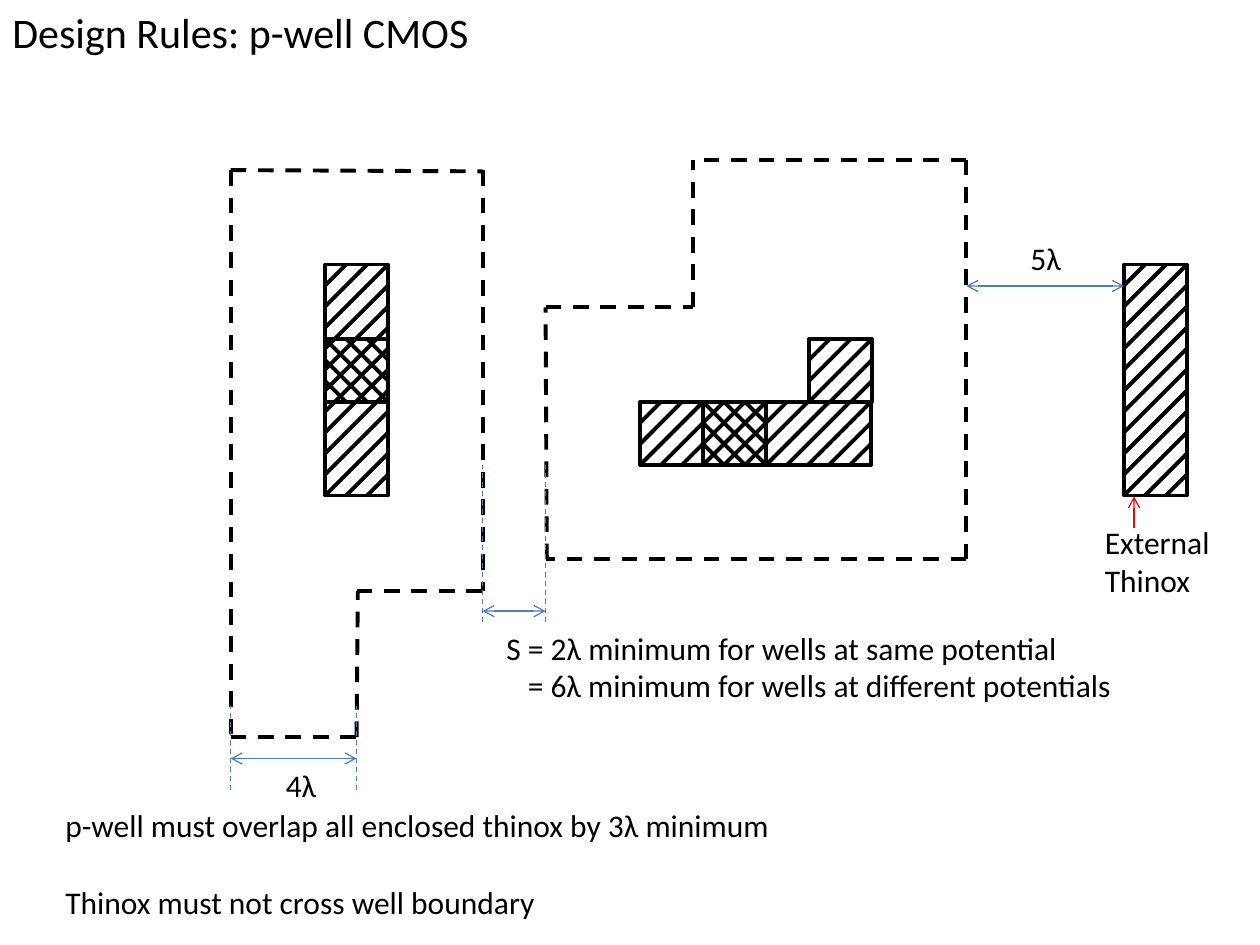
from lxml.etree import SubElement
from pptx import Presentation
from pptx.dml.color import RGBColor
from pptx.enum.dml import MSO_LINE
from pptx.enum.shapes import MSO_CONNECTOR as Link, MSO_SHAPE as Shape
from pptx.oxml.ns import qn
from pptx.util import Inches, Pt

BLACK = RGBColor(0, 0, 0)
BLUE = RGBColor(0x4B, 0x7E, 0xBC)
RED = RGBColor(0xFF, 0, 0)
FONT = "Calibri"
STEP = 1 / 6


def write(para, text, size=18, color=BLACK, before=0, indent=0):
    if indent:
        para._p.get_or_add_pPr().set("marL", str(Inches(indent)))
    para.space_before = Pt(before)
    span = para.add_run()
    span.text = text
    span.font.name = FONT
    span.font.size = Pt(size)
    span.font.color.rgb = color


class Diagram:
    def __init__(self, page):
        self.page = page

    def text(self, left, top, width, height, *lines):
        box = self.page.shapes.add_textbox(
            Inches(left), Inches(top), Inches(width), Inches(height))
        frame = box.text_frame
        frame.word_wrap = True
        for index, (words, style) in enumerate(lines):
            para = frame.add_paragraph() if index else frame.paragraphs[0]
            write(para, words, **style)

    def line(self, x1, y1, x2, y2, color=BLACK, width=2.25, dashed=False, ends=(), parent=None):
        shapes = (parent or self.page).shapes
        link = shapes.add_connector(
            Link.STRAIGHT, Inches(x1), Inches(y1), Inches(x2), Inches(y2))
        link.line.color.rgb = color
        link.line.width = Pt(width)
        if dashed:
            link.line.dash_style = MSO_LINE.DASH
        for end in ends:
            SubElement(link.line._get_or_add_ln(), qn(f"a:{end}End")).set("type", "arrow")
        SubElement(link._element.spPr, qn("a:effectLst"))

    def guide(self, x, top, bottom):
        self.line(x, bottom, x, top, color=BLUE, width=0.75, dashed=True)

    def dimension(self, left, right, y):
        self.line(left, y, right, y, color=BLUE, width=0.75, ends=("head", "tail"))

    def well(self, *segments):
        group = self.page.shapes.add_group_shape()
        for segment in segments:
            self.line(*segment, dashed=True, parent=group)

    def hatch(self, left, top, columns, rows, falling=False):
        group = self.page.shapes.add_group_shape()
        width, height = columns * STEP, rows * STEP
        area = group.shapes.add_shape(
            Shape.RECTANGLE, Inches(left), Inches(top), Inches(width), Inches(height))
        area.shadow.inherit = False
        area.fill.background()
        area.line.color.rgb = BLACK
        area.line.width = Pt(2)
        for index in range(1, columns + rows):
            low, high = max(0, index - rows), min(columns, index)
            xs = [left + column * STEP for column in (low, high)]
            ys = [top + (index - column) * STEP for column in (low, high)]
            if falling:
                xs = [2 * left + width - x for x in xs]
            self.line(xs[0], ys[0], xs[1], ys[1], parent=group)


def main():
    deck = Presentation()
    deck.slide_width, deck.slide_height = Inches(10), Inches(7.5)
    diagram = Diagram(deck.slides.add_slide(deck.slide_layouts[6]))

    diagram.hatch(2.58, 2.1, 3, 11)
    diagram.hatch(2.58, 2.69, 3, 3, falling=True)
    diagram.well(
        (1.83, 1.35, 3.83, 1.36), (2.83, 5.85, 2.84, 4.69), (1.83, 1.35, 1.83, 5.85),
        (3.83, 1.35, 3.83, 4.69), (2.83, 4.69, 3.83, 4.69), (1.83, 5.85, 2.83, 5.85))
    diagram.well(
        (7.67, 4.44, 7.67, 1.27), (4.33, 2.44, 5.5, 2.44), (7.67, 4.44, 4.33, 4.44),
        (7.67, 1.27, 5.5, 1.27), (5.5, 2.44, 5.5, 1.27), (4.34, 4.44, 4.33, 2.44))
    diagram.hatch(5.08, 3.19, 11, 3)
    diagram.hatch(5.58, 3.19, 3, 3, falling=True)
    diagram.hatch(6.42, 2.69, 3, 3)
    diagram.hatch(8.92, 2.1, 3, 11)

    for x in (1.83, 2.83):
        diagram.guide(x, 5.6, 6.27)
    for x in (3.83, 4.33):
        diagram.guide(x, 3.69, 4.94)
    diagram.dimension(1.83, 2.83, 6.02)
    diagram.dimension(3.83, 4.33, 4.85)
    diagram.dimension(7.67, 8.92, 2.27)
    diagram.line(9, 4.19, 9, 3.94, color=RED, width=0.75, ends=("tail",))

    diagram.text(0, 0, 4.67, 0.5, ("Design Rules: p-well CMOS", {"size": 24}))
    diagram.text(2.17, 6.03, 0.5, 0.4, ("4λ", {}))
    diagram.text(8.08, 1.85, 0.5, 0.4, ("5λ", {}))
    diagram.text(8.67, 4.1, 1.08, 0.71, ("External Thinox", {}))
    diagram.text(
        3.92, 4.94, 5.08, 0.71,
        ("S = 2λ minimum for wells at same potential", {}),
        ("= 6λ minimum for wells at different potentials", {"indent": 0.17}))
    diagram.text(
        0.42, 6.35, 5.92, 1.1,
        ("p-well must overlap all enclosed thinox by 3λ minimum", {}),
        ("Thinox must not cross well boundary", {"before": 22}))
    deck.save("out.pptx")


if __name__ == "__main__":
    main()
